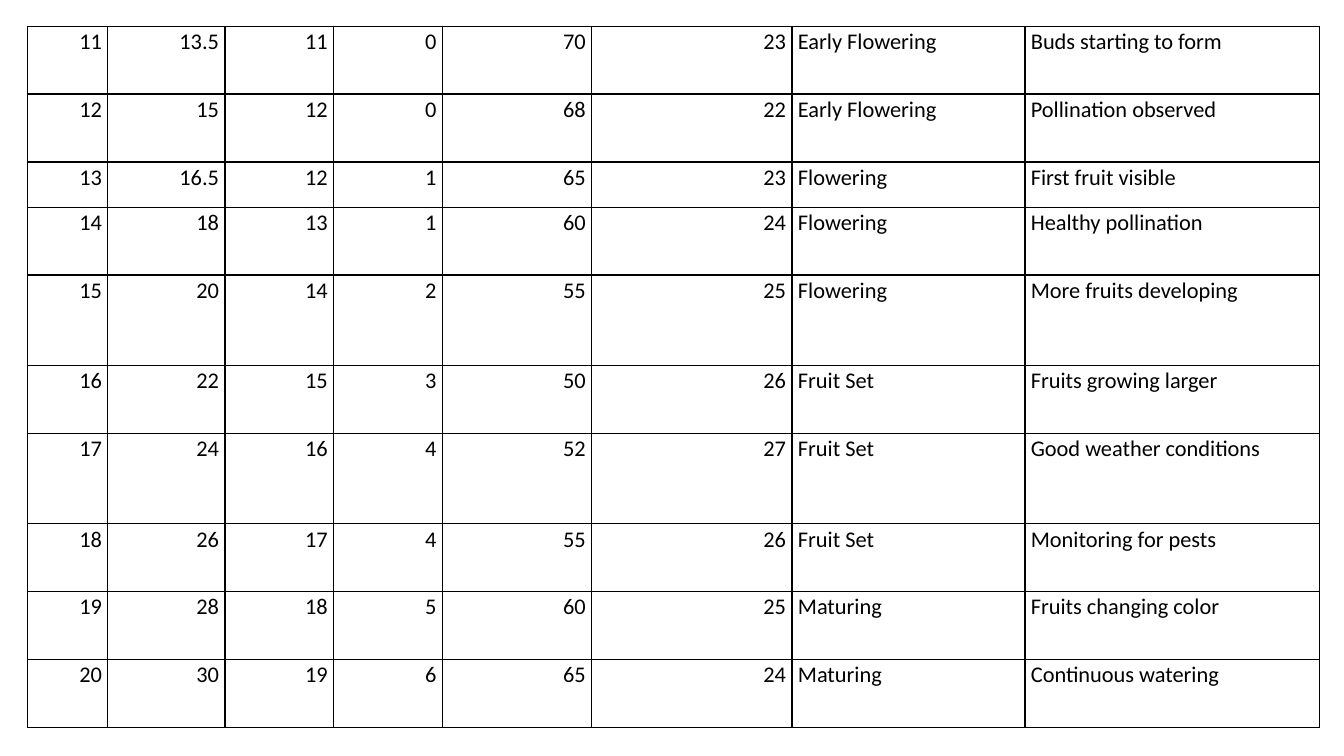
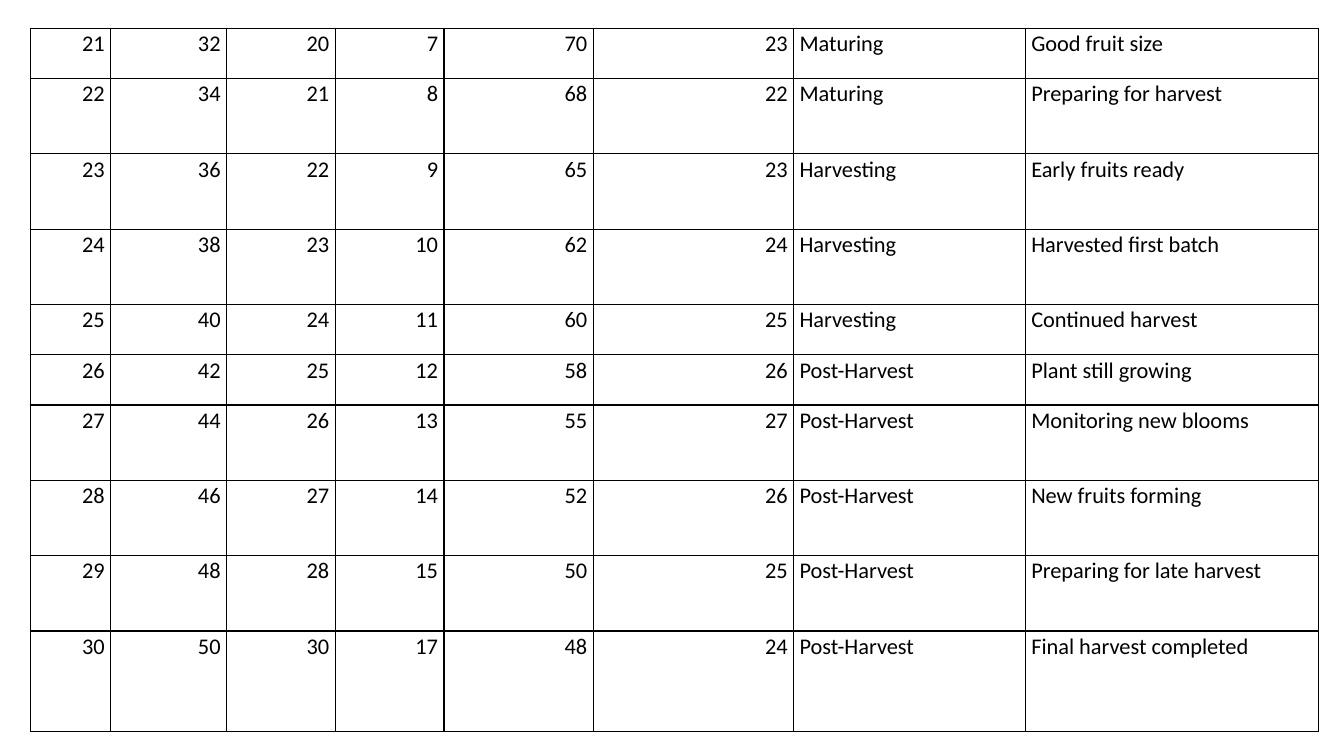
"""Build two slides of a plant growth log, one ruled table on each."""
from lxml import etree
from pptx import Presentation
from pptx import util as u
from pptx.dml.color import RGBColor
from pptx.enum import text
from pptx.oxml import ns

BLACK = RGBColor(0x00, 0x00, 0x00)
FONT = "Calibri"
FONT_SIZE = u.Pt(16)
LINE_SPACING = 1.07
SIDE_MARGIN = u.Cm(0.15)
BORDER_WIDTH = u.Pt(1)
BLANK_LAYOUT = 6
NUMBER_COLUMNS = 6

FLOWERING_LOG = dict(
    left=u.Cm(0.69), top=u.Cm(0.66), height=u.Cm(17.67),
    widths=(2.03, 2.95, 2.74, 2.74, 3.76, 5.05, 5.87, 7.42),
    row_units=(3, 3, 2, 3, 4, 3, 4, 3, 3, 3),
    rows=(
        (11, 13.5, 11, 0, 70, 23, "Early Flowering", "Buds starting to form"),
        (12, 15, 12, 0, 68, 22, "Early Flowering", "Pollination observed"),
        (13, 16.5, 12, 1, 65, 23, "Flowering", "First fruit visible"),
        (14, 18, 13, 1, 60, 24, "Flowering", "Healthy pollination"),
        (15, 20, 14, 2, 55, 25, "Flowering", "More fruits developing"),
        (16, 22, 15, 3, 50, 26, "Fruit Set", "Fruits growing larger"),
        (17, 24, 16, 4, 52, 27, "Fruit Set", "Good weather conditions"),
        (18, 26, 17, 4, 55, 26, "Fruit Set", "Monitoring for pests"),
        (19, 28, 18, 5, 60, 25, "Maturing", "Fruits changing color"),
        (20, 30, 19, 6, 65, 24, "Maturing", "Continuous watering"),
    ),
)

HARVEST_LOG = dict(
    left=u.Cm(0.76), top=u.Cm(0.71), height=u.Cm(17.73),
    widths=(2.03, 2.92, 2.74, 2.74, 3.76, 5.05, 5.84, 7.39),
    row_units=(2, 3, 3, 3, 2, 2, 3, 3, 3, 4),
    rows=(
        (21, 32, 20, 7, 70, 23, "Maturing", "Good fruit size"),
        (22, 34, 21, 8, 68, 22, "Maturing", "Preparing for harvest"),
        (23, 36, 22, 9, 65, 23, "Harvesting", "Early fruits ready"),
        (24, 38, 23, 10, 62, 24, "Harvesting", "Harvested first batch"),
        (25, 40, 24, 11, 60, 25, "Harvesting", "Continued harvest"),
        (26, 42, 25, 12, 58, 26, "Post-Harvest", "Plant still growing"),
        (27, 44, 26, 13, 55, 27, "Post-Harvest", "Monitoring new blooms"),
        (28, 46, 27, 14, 52, 26, "Post-Harvest", "New fruits forming"),
        (29, 48, 28, 15, 50, 25, "Post-Harvest", "Preparing for late harvest"),
        (30, 50, 30, 17, 48, 24, "Post-Harvest", "Final harvest completed"),
    ),
)


def add_borders(cell):
    """Rule all four sides of a cell."""
    properties = cell._tc.get_or_add_tcPr()
    for position, side in enumerate(("lnL", "lnR", "lnT", "lnB")):
        line = etree.Element(ns.qn(f"a:{side}"), w=str(BORDER_WIDTH))
        fill = etree.SubElement(line, ns.qn("a:solidFill"))
        etree.SubElement(fill, ns.qn("a:srgbClr"), val=str(BLACK))
        properties.insert(position, line)


def fill_cell(cell, value, align):
    """Write one value into an unfilled, ruled cell."""
    cell.fill.background()
    cell.margin_left = cell.margin_right = SIDE_MARGIN
    cell.margin_top = cell.margin_bottom = 0
    cell.text_frame.text = str(value)
    para = cell.text_frame.paragraphs[0]
    para.alignment = align
    para.line_spacing = LINE_SPACING
    font = para.runs[0].font
    font.name, font.size, font.color.rgb = FONT, FONT_SIZE, BLACK
    add_borders(cell)


def add_log_table(page, left, top, height, widths, row_units, rows):
    """Add a log table whose rows share the height by their units."""
    frame = page.shapes.add_table(
        len(rows), len(widths), left, top, u.Cm(sum(widths)), height)
    table = frame.table
    table.first_row = table.horz_banding = False
    for column, width in zip(table.columns, widths):
        column.width = u.Cm(width)
    for row, units, values in zip(table.rows, row_units, rows):
        row.height = int(height * units / sum(row_units))
        for index, (cell, value) in enumerate(zip(row.cells, values)):
            is_number = index < NUMBER_COLUMNS
            align = text.PP_ALIGN.RIGHT if is_number else text.PP_ALIGN.LEFT
            fill_cell(cell, value, align)


def main():
    """Build and save the deck."""
    deck = Presentation()
    deck.slide_width, deck.slide_height = u.Cm(33.87), u.Cm(19.05)
    for log in (FLOWERING_LOG, HARVEST_LOG):
        page = deck.slides.add_slide(deck.slide_layouts[BLANK_LAYOUT])
        add_log_table(page, **log)
    deck.save("out.pptx")


if __name__ == "__main__":
    main()
